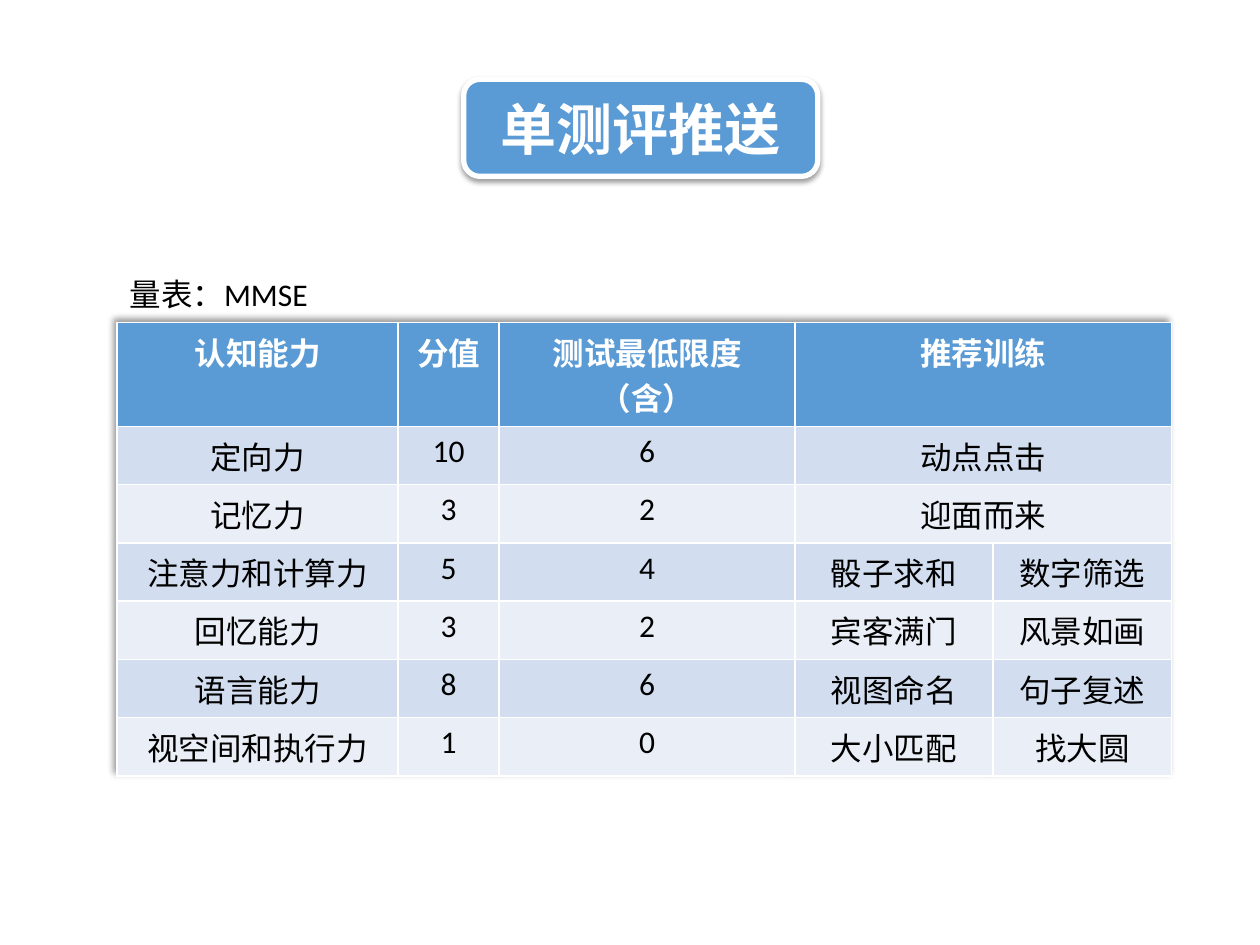
from pptx import Presentation
from pptx.dml.color import RGBColor
from pptx.enum.shapes import MSO_SHAPE
from pptx.enum.text import MSO_ANCHOR, PP_ALIGN
from pptx.oxml import parse_xml
from pptx.oxml.ns import nsdecls
from pptx.util import Inches, Pt

CENTER = PP_ALIGN.CENTER
MIDDLE = MSO_ANCHOR.MIDDLE
TITLE_SHAPE = MSO_SHAPE.FLOWCHART_ALTERNATE_PROCESS

BLUE, WHITE, BLACK = "5B9BD5", "FFFFFF", "000000"
BANDS = ["EAEFF7", "D2DEEF"]


def style(p, size, color, bold=False):
    p.font.name = "Calibri"
    p.font.size = Pt(size)
    p.font.bold = bold
    p.font.color.rgb = RGBColor.from_string(color)


def shadow(blur, dist, angle, opacity):
    """Return an effect list with a black outer shadow (points, degrees, percent)."""
    return parse_xml(
        f'<a:effectLst {nsdecls("a")}><a:outerShdw blurRad="{Pt(blur)}" '
        f'dist="{Pt(dist)}" dir="{angle * 60000}" algn="ctr" rotWithShape="0">'
        f'<a:srgbClr val="{BLACK}"><a:alpha val="{opacity * 1000}"/></a:srgbClr>'
        "</a:outerShdw></a:effectLst>"
    )


prs = Presentation()
prs.slide_width, prs.slide_height = Inches(10), Inches(7.5)
slide = prs.slides.add_slide(prs.slide_layouts[6])

# Title
s = slide.shapes.add_shape(
    TITLE_SHAPE, Inches(3.68), Inches(0.63), Inches(2.81), Inches(0.77)
)
s.fill.solid()
s.fill.fore_color.rgb = RGBColor.from_string(BLUE)
s.line.color.rgb = RGBColor.from_string(WHITE)
s.line.width = Pt(3)
s._element.spPr.append(shadow(3.1, 1.6, 90, 38))
tf = s.text_frame
tf.vertical_anchor = MIDDLE
p = tf.paragraphs[0]
p.text = "单测评推送"
p.alignment = CENTER
style(p, 32, WHITE, bold=True)

# Table; a row with four values merges the last two columns
rows = [
    ["认知能力", "分值", "测试最低限度（含）", "推荐训练"],
    ["定向力", "10", "6", "动点点击"],
    ["记忆力", "3", "2", "迎面而来"],
    ["注意力和计算力", "5", "4", "骰子求和", "数字筛选"],
    ["回忆能力", "3", "2", "宾客满门", "风景如画"],
    ["语言能力", "8", "6", "视图命名", "句子复述"],
    ["视空间和执行力", "1", "0", "大小匹配", "找大圆"],
]
widths = [2.23, 0.8, 2.35, 1.57, 1.42]
row_height = Inches(0.41)
table = slide.shapes.add_table(
    len(rows), len(widths), Inches(0.93), Inches(2.56),
    Inches(sum(widths)), row_height * len(rows),
).table
table._tbl.tblPr.insert(0, shadow(4, 3, 225, 40))
for column, width in zip(table.columns, widths):
    column.width = Inches(width)
for i, values in enumerate(rows):
    table.rows[i].height = row_height
    if len(values) < len(widths):
        table.cell(i, 3).merge(table.cell(i, 4))
    header = i == 0
    for j in range(len(widths)):
        cell = table.cell(i, j)
        cell.fill.solid()
        cell.fill.fore_color.rgb = RGBColor.from_string(BLUE if header else BANDS[i % 2])
        if j < len(values):
            p = cell.text_frame.paragraphs[0]
            p.text = values[j]
            p.alignment = CENTER
            style(p, 18, WHITE if header else BLACK, bold=header)

# Scale name above the table
s = slide.shapes.add_textbox(Inches(0.93), Inches(2.13), Inches(2.22), Inches(0.4))
tf = s.text_frame
tf.word_wrap = True
p = tf.paragraphs[0]
p.text = "量表：MMSE"
style(p, 18, BLACK)

prs.save("out.pptx")
